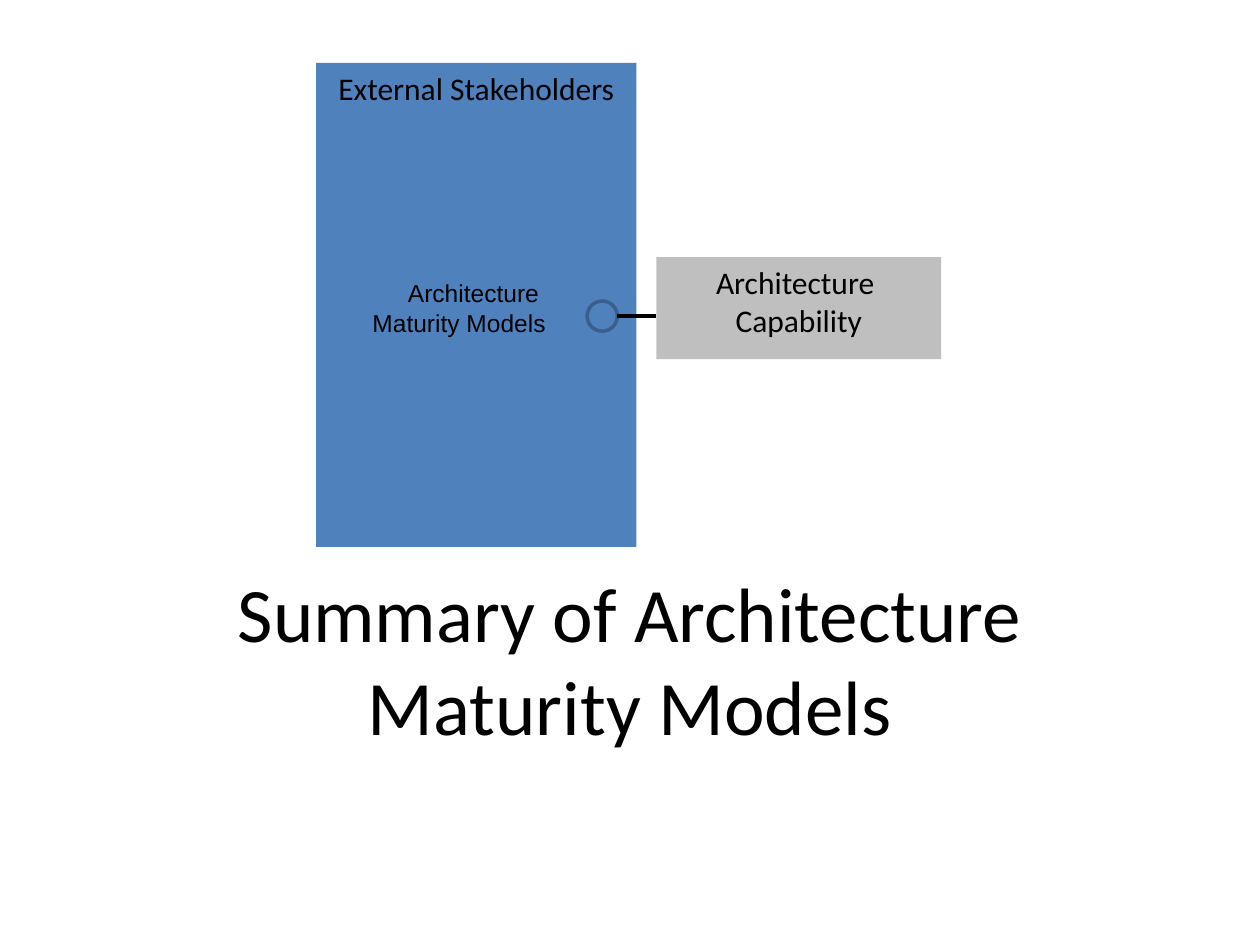
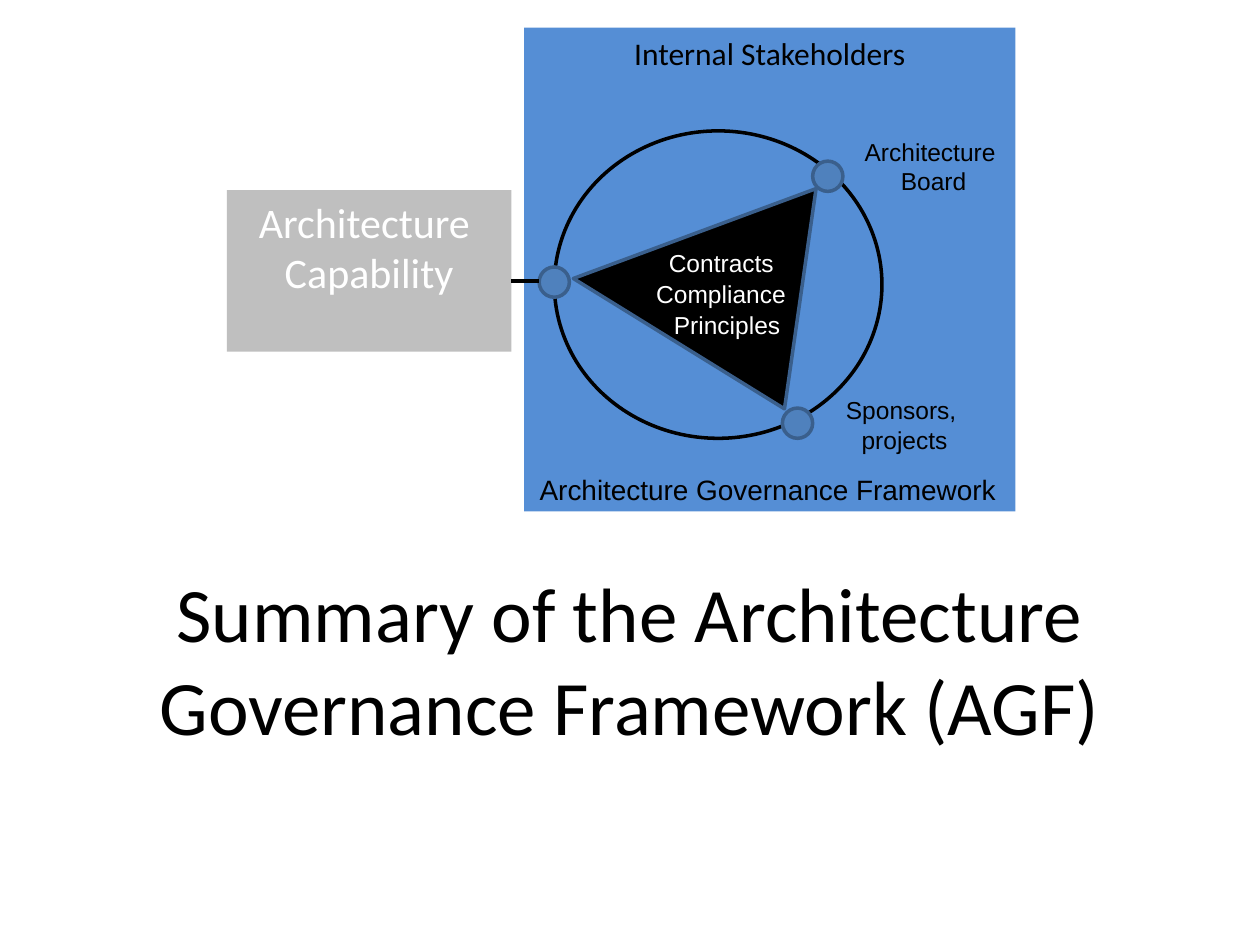
from lxml import etree
from pptx import Presentation
from pptx.dml.color import RGBColor
from pptx.enum.shapes import MSO_CONNECTOR, MSO_SHAPE
from pptx.enum.text import MSO_ANCHOR, PP_ALIGN
from pptx.oxml.ns import qn
from pptx.util import Pt

RECTANGLE = MSO_SHAPE.RECTANGLE
OVAL = MSO_SHAPE.OVAL
TRIANGLE = MSO_SHAPE.ISOSCELES_TRIANGLE
STRAIGHT = MSO_CONNECTOR.STRAIGHT
TOP, MIDDLE = MSO_ANCHOR.TOP, MSO_ANCHOR.MIDDLE
LEFT, CENTER, RIGHT = PP_ALIGN.LEFT, PP_ALIGN.CENTER, PP_ALIGN.RIGHT

COLORS = {
    "external": "4F81BD",
    "internal": "558ED5",
    "capability": "BFBFBF",
    "node": "4F81BD",
    "node_edge": "3A5F8C",
    "black": "000000",
    "white": "FFFFFF",
}
HEADING_FONT, LABEL_FONT = "Calibri", "Arial"
PANEL_HEIGHT = 276.5
CAPABILITY_WIDTH = 162.7
NODE_SIZE = 17.3
LINE_WIDTH = 2


def color(name):
    return RGBColor.from_string(COLORS[name])


def write(shape, text, size=18, font=HEADING_FONT, ink="black",
          align=CENTER, anchor=TOP, wrap=True):
    """Fill a shape with text, one paragraph per line."""
    frame = shape.text_frame
    frame.word_wrap = wrap
    frame.vertical_anchor = anchor
    frame.text = text
    for para in frame.paragraphs:
        para.alignment = align
        for span in para.runs:
            span.font.size = Pt(size)
            span.font.name = font
            span.font.color.rgb = color(ink)


def add_figure(page, kind, box, fill=None, edge=None):
    shape = page.shapes.add_shape(kind, *map(Pt, box))
    shape.shadow.inherit = False
    if fill:
        shape.fill.solid()
        shape.fill.fore_color.rgb = color(fill)
    else:
        shape.fill.background()
    if edge:
        shape.line.color.rgb = color(edge)
        shape.line.width = Pt(LINE_WIDTH)
    else:
        shape.line.fill.background()
    return shape


def add_label(page, text, box, size=14, ink="black", align=CENTER):
    label = page.shapes.add_textbox(*map(Pt, box))
    write(label, text, size=size, font=LABEL_FONT, ink=ink, align=align,
          wrap=False)


def add_title(page, text):
    title = page.shapes.add_textbox(Pt(54), Pt(296), Pt(612), Pt(160.5))
    write(title, text, size=44, anchor=MIDDLE)


def add_panel(page, heading, left, top, width, fill):
    panel = add_figure(page, RECTANGLE, (left, top, width, PANEL_HEIGHT), fill)
    write(panel, heading)


def add_capability(page, left, top, height, size, ink):
    capability = add_figure(
        page, RECTANGLE, (left, top, CAPABILITY_WIDTH, height), "capability")
    write(capability, "Architecture \nCapability", size=size, ink=ink)


def add_node(page, left, top):
    add_figure(page, OVAL, (left, top, NODE_SIZE, NODE_SIZE),
               "node", "node_edge")


def add_link(page, start, end, height):
    link = page.shapes.add_connector(
        STRAIGHT, Pt(start), Pt(height), Pt(end), Pt(height))
    link.line.color.rgb = color("black")
    link.line.width = Pt(LINE_WIDTH)
    etree.SubElement(link.element.spPr, qn("a:effectLst"))


def external_stakeholders(page, left, top):
    """Blue panel with the maturity models, tied to the capability."""
    add_panel(page, "External Stakeholders", left, top, 183, "external")
    add_capability(page, left + 194.4, top + 110.9, 58.3, 18, "black")
    node_left = left + 154.8
    add_node(page, node_left, top + 136)
    add_link(page, left + 194.4, node_left + NODE_SIZE, top + 144.6)
    add_label(page, "Architecture \nMaturity Models",
              (left + 24.5, top + 119.5, 113.8, 41), align=RIGHT)


def internal_stakeholders(page, left, top):
    """Blue panel with the governance circle, tied to the capability."""
    add_panel(page, "Internal Stakeholders", left, top, 280.8, "internal")
    capability_left = left - 169.9
    add_capability(page, capability_left, top + 92.9, 92.2, 24, "white")

    # Circle with its three nodes and the triangle between them
    add_figure(page, OVAL, (left + 17.3, top + 59, 187.2, 175.7), edge="black")
    nodes = [(8.6, 136.8), (164.9, 76.3), (147.6, 217.4)]
    for x, y in nodes:
        add_node(page, left + x, top + y)
    triangle = add_figure(page, TRIANGLE,
                          (left + 48.2, top + 72.7, 141.8, 116.6),
                          "black", "node_edge")
    triangle.adjustments[0] = 0.642
    triangle.rotation = 31.7
    add_link(page, capability_left + CAPABILITY_WIDTH, left + nodes[0][0],
             top + 144.8)

    # Words in the triangle
    for text, x, y, width in [("Contracts", 75.6, 122.4, 74.9),
                              ("Compliance", 68.4, 140.4, 89.3),
                              ("Principles", 78.5, 157.7, 75.6)]:
        add_label(page, text, (left + x, top + y, width, 24.5),
                  ink="white", align=LEFT)

    # Labels beside the nodes and at the foot
    for text, x, y, width, height, size in [
            ("Architecture \nBoard", 187.2, 59, 93.6, 41, 14),
            ("Sponsors, \nprojects", 176.4, 206.6, 82, 41, 14),
            ("Architecture Governance Framework", 0, 250.6, 278.6, 26.6, 16)]:
        add_label(page, text, (left + x, top + y, width, height), size=size)


def main():
    deck = Presentation()
    deck.slide_width, deck.slide_height = Pt(720), Pt(540)
    blank = deck.slide_layouts[6]
    for title, draw, left, top in [
            ("Summary of Architecture Maturity Models",
             external_stakeholders, 180.7, 36),
            ("Summary of the Architecture Governance Framework (AGF)",
             internal_stakeholders, 299.5, 15.8)]:
        page = deck.slides.add_slide(blank)
        add_title(page, title)
        draw(page, left, top)
    deck.save("out.pptx")


if __name__ == "__main__":
    main()
